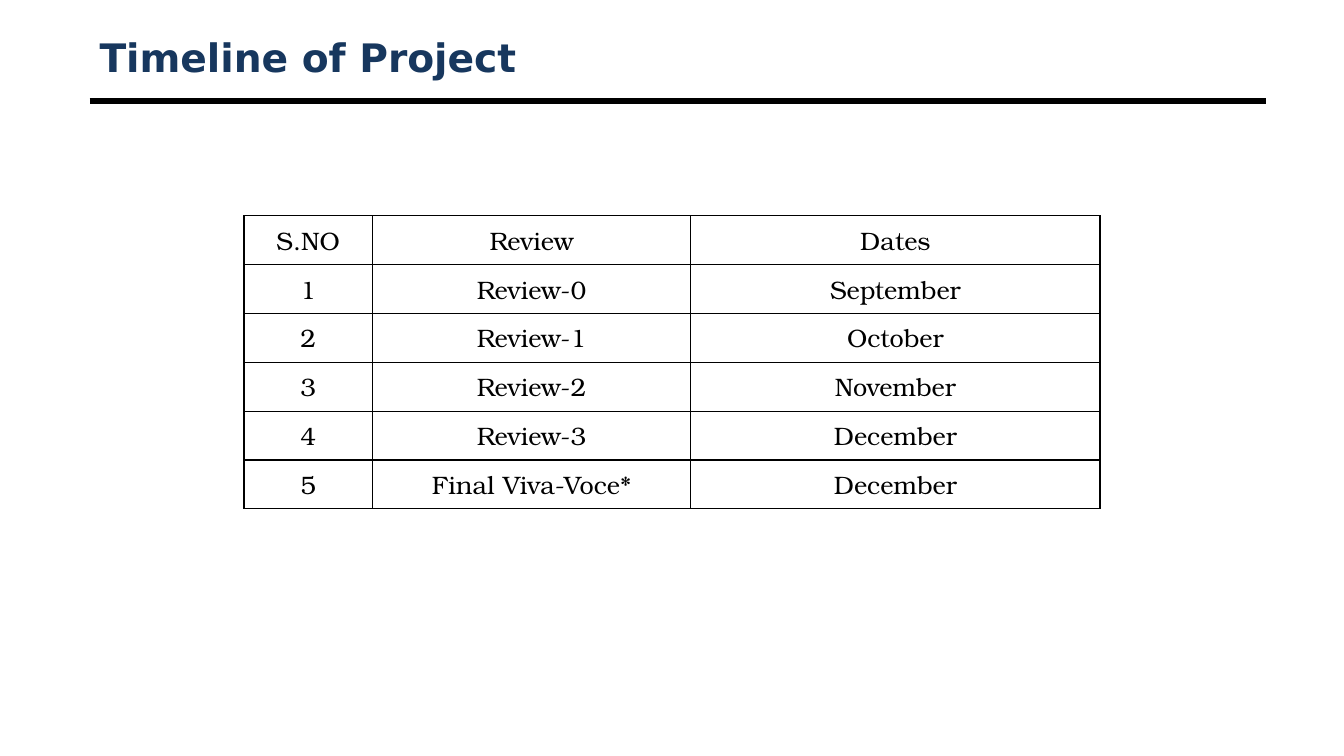
import lxml.etree
import pptx
import pptx.dml.color
import pptx.enum.shapes
import pptx.enum.text
import pptx.oxml
import pptx.oxml.ns
import pptx.util
from pptx.util import Cm

BLACK = "000000"
NAVY = "17375E"
WHITE = "FFFFFF"
LEFT, CONTENT_WIDTH = 2.26, 29.64
COLUMN_WIDTHS = (3.23, 8.03, 10.31)
ROW_HEIGHT = 1.23
REVIEWS = (
    ("S.NO", "Review", "Dates"),
    ("1", "Review-0", "September"),
    ("2", "Review-1", "October"),
    ("3", "Review-2", "November"),
    ("4", "Review-3", "December"),
    ("5", "Final Viva-Voce*", "December"),
)


def color(value):
    return pptx.dml.color.RGBColor.from_string(value)


def write_text(frame, text, *, size, font, fill, bold=False, align="LEFT"):
    para = frame.paragraphs[0]
    para.alignment = getattr(pptx.enum.text.PP_ALIGN, align)
    span = para.add_run()
    span.text = text
    span.font.size = pptx.util.Pt(size)
    span.font.name = font
    span.font.bold = bold
    span.font.color.rgb = color(fill)


def add_title(page, text):
    box = page.shapes.add_textbox(Cm(LEFT), Cm(0.76), Cm(CONTENT_WIDTH), Cm(1.35))
    frame = box.text_frame
    frame.word_wrap = True
    frame.vertical_anchor = pptx.enum.text.MSO_ANCHOR.MIDDLE
    write_text(frame, text, size=28, font="DejaVu Sans", fill=NAVY, bold=True)


def add_rule(page, top):
    rule = page.shapes.add_connector(
        pptx.enum.shapes.MSO_CONNECTOR.STRAIGHT,
        Cm(LEFT), Cm(top), Cm(LEFT + CONTENT_WIDTH), Cm(top))
    rule.line.color.rgb = color(BLACK)
    rule.line.width = pptx.util.Pt(4.5)
    lxml.etree.SubElement(rule._element.spPr, pptx.oxml.ns.qn("a:effectLst"))


def add_borders(cell, width):
    """Draw a black line on each side of the cell; borders precede the fill."""
    properties = cell._tc.get_or_add_tcPr()
    for position, side in enumerate(("lnL", "lnR", "lnT", "lnB")):
        border = pptx.oxml.parse_xml(
            f'<a:{side} {pptx.oxml.ns.nsdecls("a")} w="{pptx.util.Pt(width)}">'
            f'<a:solidFill><a:srgbClr val="{BLACK}"/></a:solidFill></a:{side}>')
        properties.insert(position, border)


def add_review_table(page):
    table = page.shapes.add_table(
        len(REVIEWS), len(COLUMN_WIDTHS), Cm(6.15), Cm(5.44),
        Cm(sum(COLUMN_WIDTHS)), Cm(ROW_HEIGHT * len(REVIEWS))).table
    table.first_row = False
    table.horz_banding = False
    for column, width in zip(table.columns, COLUMN_WIDTHS):
        column.width = Cm(width)
    for row, texts in zip(table.rows, REVIEWS):
        row.height = Cm(ROW_HEIGHT)
        for cell, text in zip(row.cells, texts):
            cell.fill.solid()
            cell.fill.fore_color.rgb = color(WHITE)
            cell.vertical_anchor = pptx.enum.text.MSO_ANCHOR.MIDDLE
            add_borders(cell, 1)
            write_text(cell.text_frame, text, size=18, font="TeX Gyre Bonum",
                       fill=BLACK, align="CENTER")


def main():
    deck = pptx.Presentation()
    deck.slide_width, deck.slide_height = Cm(33.87), Cm(19.05)
    page = deck.slides.add_slide(deck.slide_layouts[6])
    add_rule(page, 2.55)
    add_title(page, "Timeline of Project")
    add_review_table(page)
    deck.save("out.pptx")


if __name__ == "__main__":
    main()
